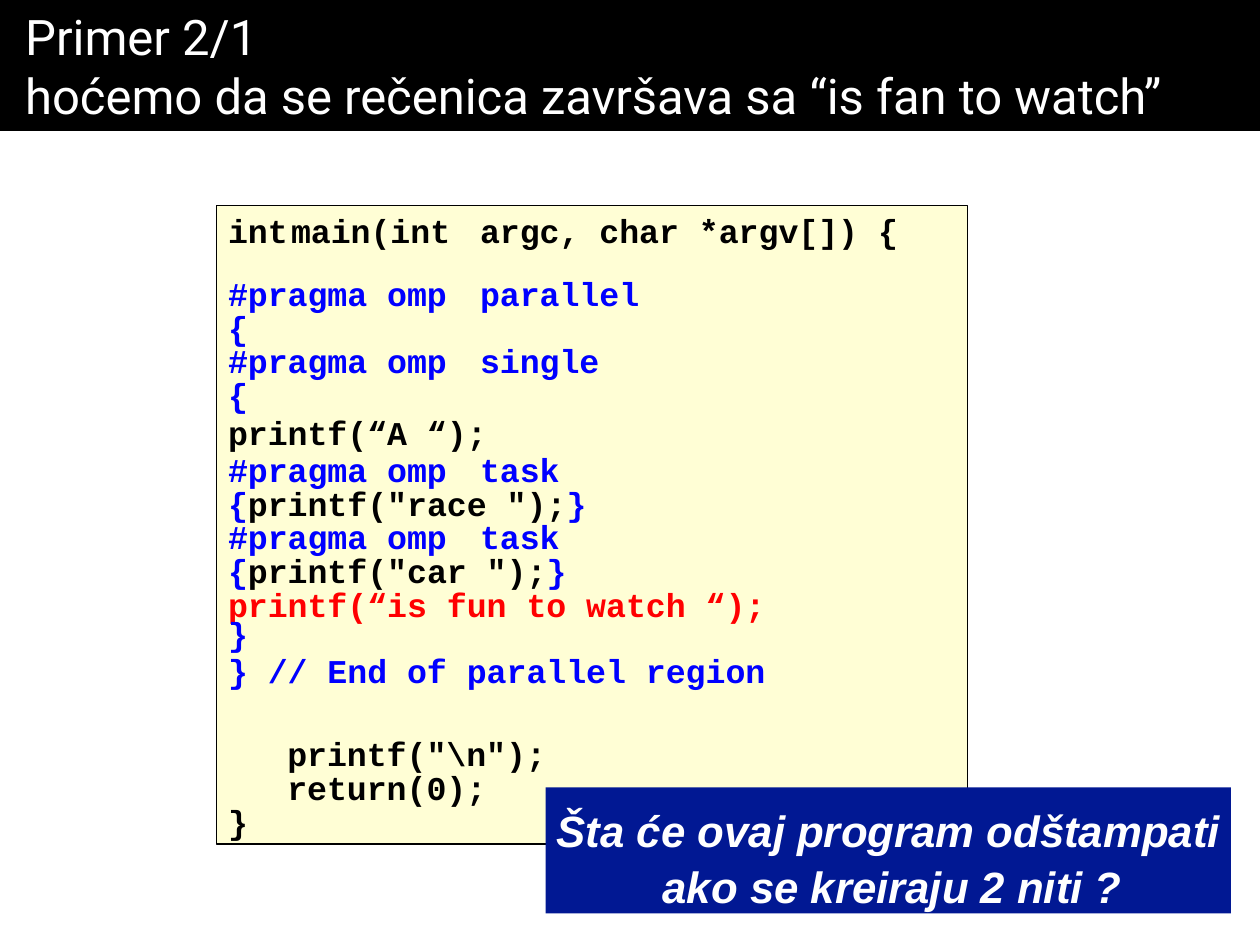
from lxml import etree
from pptx import Presentation
from pptx.dml.color import RGBColor
from pptx.enum.shapes import MSO_SHAPE
from pptx.enum.text import MSO_ANCHOR, PP_ALIGN
from pptx.oxml.ns import qn
from pptx.util import Inches, Pt

RECTANGLE = MSO_SHAPE.RECTANGLE
LEFT = PP_ALIGN.LEFT
TOP, MIDDLE = MSO_ANCHOR.TOP, MSO_ANCHOR.MIDDLE

BLACK, WHITE, BLUE, RED = "000000", "FFFFFF", "0000FF", "FF0000"
CREAM, NAVY = "FFFED5", "011893"
CODE_FONT = dict(name="Courier New", size=19, bold=True)
CODE_TABS = (0.65, 2.1)
CODE_PITCH = 19.3

# Each line: line pitch (None for single), space before, (text, colour) runs
CODE_LINES = [
    (None, 0.9, [("int\tmain(int\targc, char *argv[]) {", BLACK)]),
    (21.3, 14.6, [("#pragma omp\tparallel", BLUE)]),
    (CODE_PITCH, 0, [("{", BLUE)]),
    (CODE_PITCH, 0, [("#pragma omp\tsingle", BLUE)]),
    (CODE_PITCH, 0, [("{", BLUE)]),
    (CODE_PITCH, 2, [("printf(“A “);", BLACK)]),
    (CODE_PITCH, 2, [("#pragma omp\ttask", BLUE)]),
    (CODE_PITCH, 0, [("{", BLUE), ('printf("race ");', BLACK), ("}", BLUE)]),
    (CODE_PITCH, 0, [("#pragma omp\ttask", BLUE)]),
    (CODE_PITCH, 0, [("{", BLUE), ('printf("car ");', BLACK), ("}", BLUE)]),
    (CODE_PITCH, 0, [("printf(“is fun to watch “);", RED)]),
    (16.4, 0, [("}", BLUE)]),
    (21.3, 0, [("} // End of parallel region", BLUE)]),
]
CODE_ENDING = [(CODE_PITCH, 4.7, [('printf("\\n"); return(0);', BLACK)])]
CODE_CLOSING = [(None, 0.9, [("}", BLACK)])]


def rgb(color):
    return RGBColor.from_string(color)


def add_rectangle(slide, left, top, width, height, fill, line=None):
    box = slide.shapes.add_shape(
        RECTANGLE, Inches(left), Inches(top), Inches(width), Inches(height))
    box.shadow.inherit = False
    box.fill.solid()
    box.fill.fore_color.rgb = rgb(fill)
    if line:
        box.line.color.rgb = rgb(line)
        box.line.width = Pt(0.75)
    else:
        box.line.fill.background()
    return box


def set_frame(box, side=0, top=0, bottom=0, anchor=TOP):
    """Set insets in inches and anchor, and return the wrapped text frame."""
    frame = box.text_frame
    frame.word_wrap = True
    frame.margin_left = frame.margin_right = Inches(side)
    frame.margin_top, frame.margin_bottom = Inches(top), Inches(bottom)
    frame.vertical_anchor = anchor
    return frame


def add_span(para, text, color, name, size, bold=False, italic=False):
    span = para.add_run()
    span.text = text
    font = span.font
    font.name, font.size = name, Pt(size)
    font.bold, font.italic = bold, italic
    font.color.rgb = rgb(color)


def set_indent(para, margin, first=0):
    properties = para._p.get_or_add_pPr()
    properties.set("marL", str(Inches(margin)))
    properties.set("indent", str(Inches(first)))


def set_tabs(para, positions):
    tab_list = etree.SubElement(para._p.get_or_add_pPr(), qn("a:tabLst"))
    for position in positions:
        etree.SubElement(tab_list, qn("a:tab"), pos=str(Inches(position)), algn="l")


def add_code(slide, left, top, width, height, inset, lines):
    box = slide.shapes.add_textbox(
        Inches(left), Inches(top), Inches(width), Inches(height))
    frame = set_frame(box, top=inset)
    for index, (pitch, before, spans) in enumerate(lines):
        para = frame.add_paragraph() if index else frame.paragraphs[0]
        set_indent(para, 0.01)
        if pitch:
            para.line_spacing = Pt(pitch)
        para.space_before = Pt(before)
        set_tabs(para, CODE_TABS)
        for text, color in spans:
            add_span(para, text, color, **CODE_FONT)


def add_title(slide):
    box = add_rectangle(slide, 0, 0, 10, 1.04, BLACK)
    para = set_frame(box, 0.2, 0.05, 0.05, MIDDLE).paragraphs[0]
    para.alignment = LEFT
    add_span(para, "Primer 2/1", WHITE, "Roboto", 28)
    para.add_line_break()
    add_span(para, "hoćemo da se rečenica završava sa “is fan to watch”",
             WHITE, "Roboto", 28)


def add_question(slide):
    box = add_rectangle(slide, 4.33, 6.25, 5.44, 1, NAVY)
    para = set_frame(box, top=0.1).paragraphs[0]
    para.alignment = LEFT
    set_indent(para, 0.93, -0.84)
    para.line_spacing = 1.07
    para.space_before = Pt(7.1)
    add_span(para, "Šta će ovaj program odštampati ako se kreiraju 2 niti ?",
             WHITE, "Arial", 25, bold=True, italic=True)


def main():
    deck = Presentation()
    deck.slide_width, deck.slide_height = Inches(10), Inches(7.5)
    slide = deck.slides.add_slide(deck.slide_layouts[6])
    add_rectangle(slide, 1.72, 1.63, 5.96, 5.07, CREAM, BLACK)
    add_code(slide, 1.8, 1.66, 5.51, 3.78, 0.01, CODE_LINES)
    add_code(slide, 2.27, 5.8, 2.32, 0.61, 0.07, CODE_ENDING)
    add_code(slide, 1.8, 6.35, 0.18, 0.33, 0.01, CODE_CLOSING)
    add_question(slide)
    add_title(slide)
    deck.save("out.pptx")


if __name__ == "__main__":
    main()
